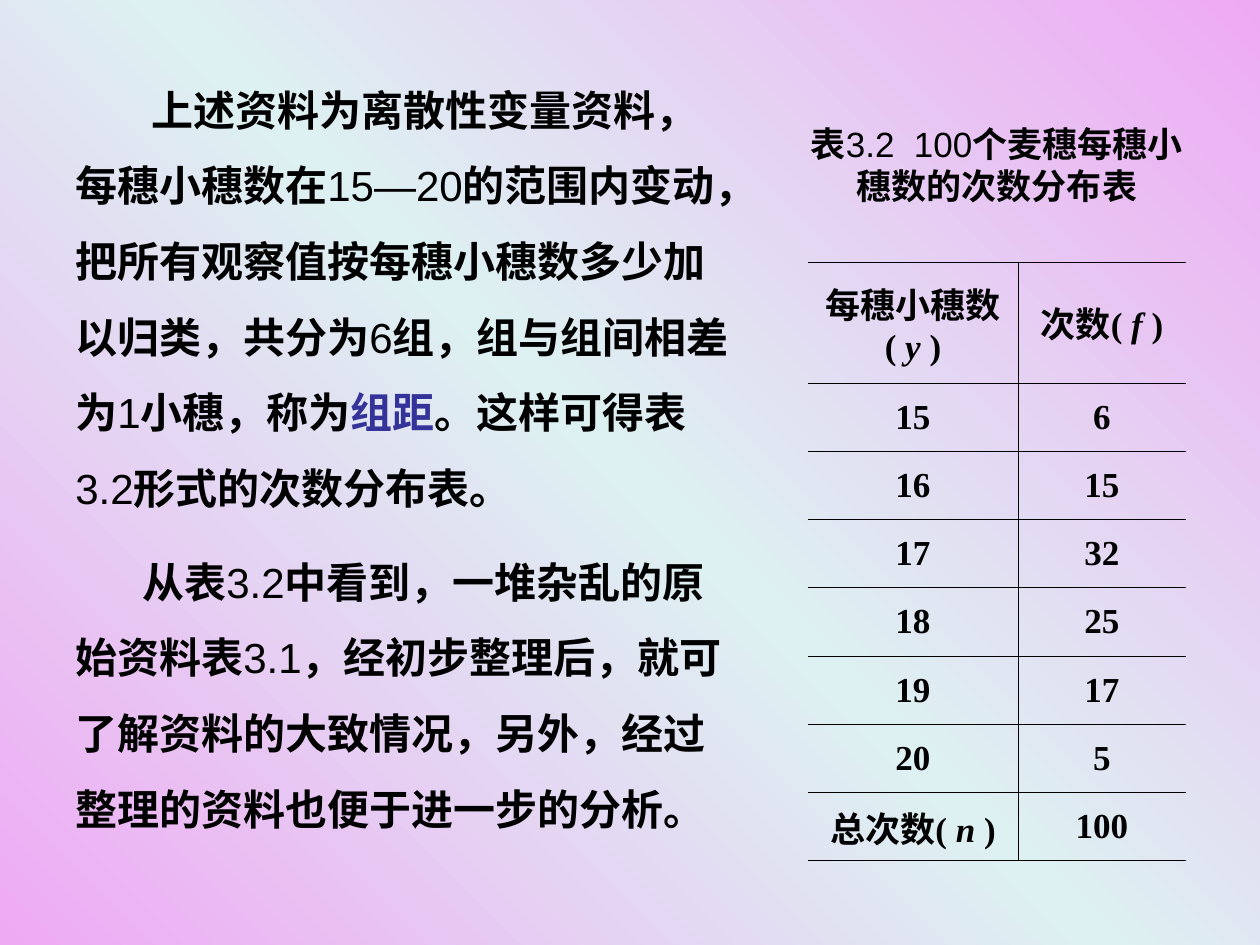
from copy import deepcopy

from lxml.etree import SubElement
from pptx import Presentation
from pptx.dml.color import RGBColor
from pptx.enum.text import MSO_ANCHOR, MSO_AUTO_SIZE, PP_ALIGN
from pptx.oxml.ns import qn
from pptx.util import Emu, Pt

COLORS = {"text": "000000", "term": "333399", "pink": "EFAAF4", "mint": "DEF1F2"}
PX = 914400 / 126
RULE_WIDTH = Pt(0.45)

# Run formats
BOLD = {"bold": True}
PLAIN = {"bold": False}
SYMBOL = {"bold": True, "italic": True}


def px(value):
    return Emu(round(value * PX))


def rgb(name):
    return RGBColor.from_string(COLORS[name])


class SlideBuilder:
    def __init__(self, slide):
        self.slide = slide

    def background(self, stops, angle):
        fill = self.slide.background.fill
        fill.gradient()
        fill.gradient_angle = angle
        stop_list = fill.gradient_stops[0]._gs.getparent()
        while len(stop_list) < len(stops):
            stop_list.append(deepcopy(stop_list[0]))
        for stop, (position, color) in zip(fill.gradient_stops, stops):
            stop.position = position
            stop.color.rgb = rgb(color)

    def add_runs(self, paragraph, runs, size, font, align=None, spacing=None):
        paragraph.alignment = align
        paragraph.line_spacing = spacing
        for text, style, *color in runs:
            run = paragraph.add_run()
            run.text = text
            for key, value in {"size": Pt(size), "name": font, **style}.items():
                setattr(run.font, key, value)
            run.font.color.rgb = rgb(color[0] if color else "text")

    def text(self, box, paragraphs, size, wrap=True, indent=0, **layout):
        frame = self.slide.shapes.add_textbox(*map(px, box)).text_frame
        frame.word_wrap = wrap
        frame.auto_size = MSO_AUTO_SIZE.SHAPE_TO_FIT_TEXT
        for index, runs in enumerate(paragraphs):
            paragraph = frame.add_paragraph() if index else frame.paragraphs[0]
            if indent:
                paragraph._p.get_or_add_pPr().set("indent", str(px(indent)))
            self.add_runs(paragraph, runs, size, "Arial", **layout)

    def border(self, cell, side, visible):
        properties = cell._tc.get_or_add_tcPr()
        line = SubElement(properties, qn(f"a:ln{side}"), w=str(RULE_WIDTH))
        if visible:
            fill = SubElement(line, qn("a:solidFill"))
            SubElement(fill, qn("a:srgbClr"), val=COLORS["text"])
        else:
            SubElement(line, qn("a:noFill"))

    def table(self, box, rows, widths, header_height):
        frame = self.slide.shapes.add_table(len(rows), len(widths), *map(px, box))
        table = frame.table
        table.first_row = table.horz_banding = False
        for column, width in zip(table.columns, widths):
            column.width = px(width)
        body_height = (box[3] - header_height) / (len(rows) - 1)
        for r, row in enumerate(rows):
            table.rows[r].height = px(body_height if r else header_height)
            for c, runs in enumerate(row):
                cell = table.cell(r, c)
                # Open outer sides, ruled everywhere else
                visible = {"L": c > 0, "R": c < len(row) - 1, "T": True, "B": True}
                for side, shown in visible.items():
                    self.border(cell, side, shown)
                cell.fill.background()
                cell.vertical_anchor = MSO_ANCHOR.MIDDLE
                self.add_runs(cell.text_frame.paragraphs[0], runs, 20,
                              "Times New Roman", PP_ALIGN.CENTER)


def labelled(label, symbol):
    return [(f"{label}( ", BOLD), (f"{symbol} ", SYMBOL), (")", BOLD)]


def main():
    deck = Presentation()
    deck.slide_width, deck.slide_height = px(1260), px(945)
    builder = SlideBuilder(deck.slides.add_slide(deck.slide_layouts[6]))
    builder.background([(0, "pink"), (0.5, "mint"), (1, "pink")], 45)

    # Frequency table
    frequencies = {15: 6, 16: 15, 17: 32, 18: 25, 19: 17, 20: 5}
    rows = [[labelled("每穗小穗数", "y"), labelled("次数", "f")]]
    rows += [[[(str(value), BOLD)] for value in pair] for pair in frequencies.items()]
    rows.append([labelled("总次数", "n"), [(str(sum(frequencies.values())), BOLD)]])
    builder.table((808, 262, 378, 599), rows, (210, 168), 121)

    # Table caption
    caption = [
        [("表", BOLD), ("3.2  100", PLAIN), ("个麦穗每穗小", BOLD)],
        [("穗数的次数分布表", BOLD)],
    ]
    builder.text((790, 116, 414, 97), caption, 20, wrap=False, align=PP_ALIGN.CENTER)

    # Explanation: what the table shows, then how the classes were formed
    findings = [
        ("从表", BOLD), ("3.2", PLAIN),
        ("中看到，一堆杂乱的原始资料表", BOLD), ("3.1", PLAIN),
        ("，经初步整理后，就可了解资料的大致情况，另外，经过整理的资料也便于进一步的分析。", BOLD),
    ]
    grouping = [
        ("上述资料为离散性变量资料，每穗小穗数在", BOLD), ("15—20", PLAIN),
        ("的范围内变动，把所有观察值按每穗小穗数多少加以归类，共分为", BOLD), ("6", PLAIN),
        ("组，组与组间相差为", BOLD), ("1", PLAIN),
        ("小穗，称为", BOLD), ("组距", BOLD, "term"),
        ("。这样可得表", BOLD), ("3.2", PLAIN), ("形式的次数分布表。", BOLD),
    ]
    builder.text((63, 525, 672, 391), [findings], 24, indent=67, spacing=1.5)
    builder.text((63, 53, 683, 466), [grouping], 24, indent=76, spacing=1.5)

    deck.save("out.pptx")


if __name__ == "__main__":
    main()
